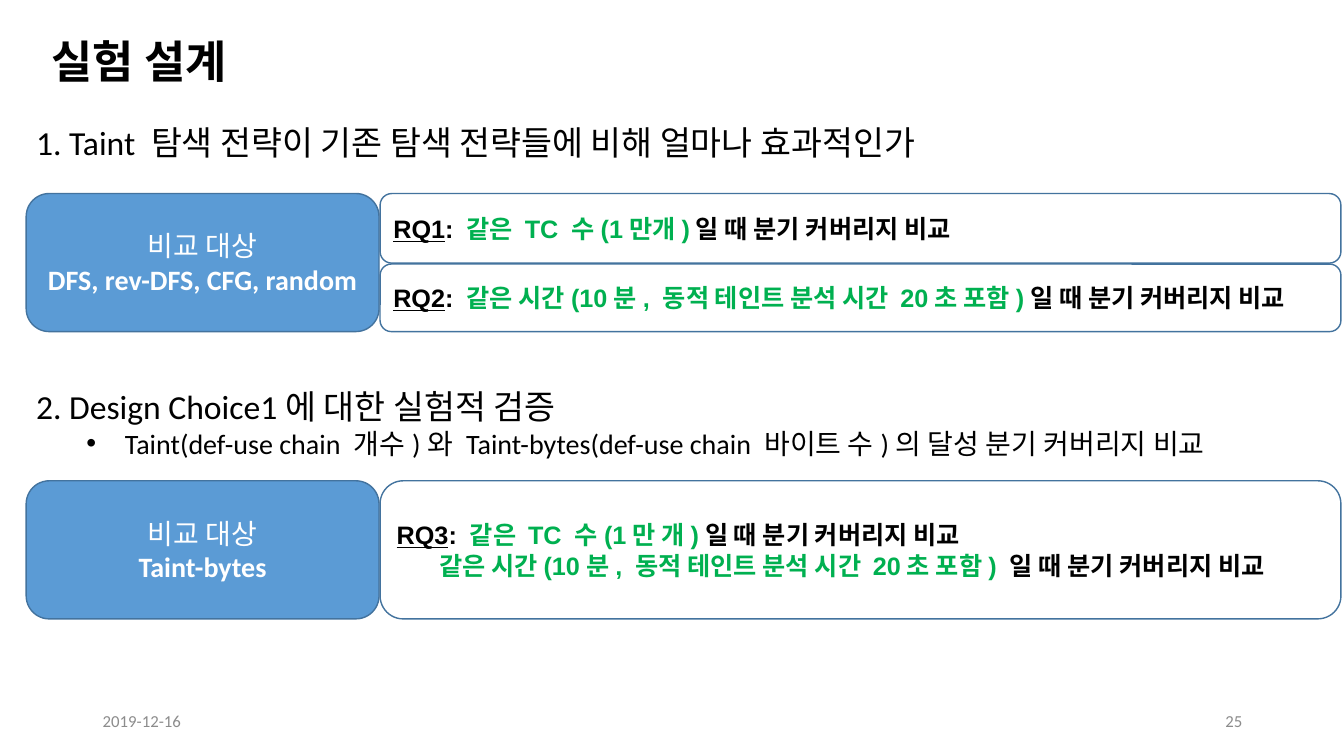
from lxml.etree import SubElement
from pptx import Presentation
from pptx.dml.color import RGBColor
from pptx.enum.shapes import MSO_SHAPE
from pptx.enum.text import MSO_ANCHOR, PP_ALIGN
from pptx.oxml.ns import qn
from pptx.util import Emu, Pt

EMU_PER_PX = 9144
COLORS = {
    "black": "000000",
    "white": "FFFFFF",
    "gray": "8C8C8C",
    "blue": "5B9BD5",
    "outline": "43739E",
    "green": "00B050",
}


def px(length):
    return Emu(length * EMU_PER_PX)


def rgb(name):
    return RGBColor.from_string(COLORS[name])


class Deck:
    def __init__(self, width, height):
        self.prs = Presentation()
        self.prs.slide_width, self.prs.slide_height = px(width), px(height)
        self.slide = None

    def add_slide(self):
        self.slide = self.prs.slides.add_slide(self.prs.slide_layouts[5])

    def add_run(self, paragraph, text, size, font="Calibri", color="black", bold=False, underline=False):
        run = paragraph.add_run()
        run.text = text
        run.font.size = Pt(size)
        run.font.name = font
        run.font.bold = bold
        run.font.underline = underline
        run.font.color.rgb = rgb(color)

    def add_paragraph(self, frame, first=False, align=PP_ALIGN.LEFT, margin=0, indent=0, bullet=None):
        paragraph = frame.paragraphs[0] if first else frame.add_paragraph()
        properties = paragraph._p.get_or_add_pPr()
        properties.set("marL", str(px(margin)))
        properties.set("indent", str(px(indent)))
        if bullet:
            SubElement(properties, qn("a:buFont")).set("typeface", "Arial")
            SubElement(properties, qn("a:buChar")).set("char", bullet)
        paragraph.alignment = align
        return paragraph

    def title(self, text, left, top, width, height):
        heading = self.slide.shapes.title
        heading.left, heading.top = px(left), px(top)
        heading.width, heading.height = px(width), px(height)
        frame = heading.text_frame
        frame.word_wrap = True
        frame.vertical_anchor = MSO_ANCHOR.MIDDLE
        self.add_run(self.add_paragraph(frame, first=True), text, 32, "Arial", bold=True)

    def text_box(self, left, top, width, height, anchor=MSO_ANCHOR.TOP):
        frame = self.slide.shapes.add_textbox(px(left), px(top), px(width), px(height)).text_frame
        frame.word_wrap = True
        frame.vertical_anchor = anchor
        return frame

    def footer(self, text, left, align):
        frame = self.text_box(left, 695, 300, 40, MSO_ANCHOR.MIDDLE)
        self.add_run(self.add_paragraph(frame, first=True, align=align), text, 12, color="gray")

    def question(self, text, top, height):
        frame = self.text_box(26, top, 1286, height)
        self.add_run(self.add_paragraph(frame, first=True), text, 24)
        return frame

    def rounded_box(self, left, top, width, height, fill=None):
        box = self.slide.shapes.add_shape(
            MSO_SHAPE.ROUNDED_RECTANGLE, px(left), px(top), px(width), px(height))
        box.shadow.inherit = False
        if fill:
            box.fill.solid()
            box.fill.fore_color.rgb = rgb(fill)
        else:
            box.fill.background()
        box.line.color.rgb = rgb("outline")
        box.line.width = Pt(1)
        box.text_frame.word_wrap = True
        box.text_frame.vertical_anchor = MSO_ANCHOR.MIDDLE
        return box.text_frame

    def comparison_target(self, names, top):
        frame = self.rounded_box(26, top, 350, 137, "blue")
        heading = self.add_paragraph(frame, first=True, align=PP_ALIGN.CENTER)
        self.add_run(heading, "비교 대상", 20, color="white")
        target = self.add_paragraph(frame, align=PP_ALIGN.CENTER)
        self.add_run(target, names, 20, color="white", bold=True)

    def research_question(self, label, conditions, top, height):
        frame = self.rounded_box(377, top, 953, height)
        for index, condition in enumerate(conditions):
            first = index == 0
            paragraph = self.add_paragraph(frame, first=first, margin=0 if first else 42)
            if first:
                self.add_run(paragraph, label, 18, "Arial", bold=True, underline=True)
                self.add_run(paragraph, ": ", 18, "Arial", bold=True)
            self.add_run(paragraph, condition, 18, "Arial", "green", bold=True)
            self.add_run(paragraph, "일 때 분기 커버리지 비교", 18, "Arial", bold=True)


def main():
    deck = Deck(1333, 750)
    deck.add_slide()
    deck.title("실험 설계", 41, 38, 978, 45)
    deck.footer("2019-12-16", 92, PP_ALIGN.LEFT)
    deck.footer("25", 942, PP_ALIGN.RIGHT)

    same_time = "같은 시간(10분, 동적 테인트 분석 시간 20초 포함)"
    deck.question("1. Taint 탐색 전략이 기존 탐색 전략들에 비해 얼마나 효과적인가", 116, 50)
    deck.comparison_target("DFS, rev-DFS, CFG, random", 192)
    deck.research_question("RQ1", ["같은 TC 수(1만개)"], 192, 69)
    deck.research_question("RQ2", [same_time], 262, 67)

    deck.comparison_target("Taint-bytes", 477)
    deck.research_question("RQ3", ["같은 TC 수(1만 개)", same_time + " "], 477, 137)
    design_choice = deck.question("2. Design Choice1에 대한 실험적 검증", 378, 84)
    detail = deck.add_paragraph(design_choice, margin=88, indent=-38, bullet="•")
    deck.add_run(
        detail, "Taint(def-use chain 개수)와 Taint-bytes(def-use chain 바이트 수)의 달성 분기 커버리지 비교", 20)

    deck.prs.save("out.pptx")


if __name__ == "__main__":
    main()
